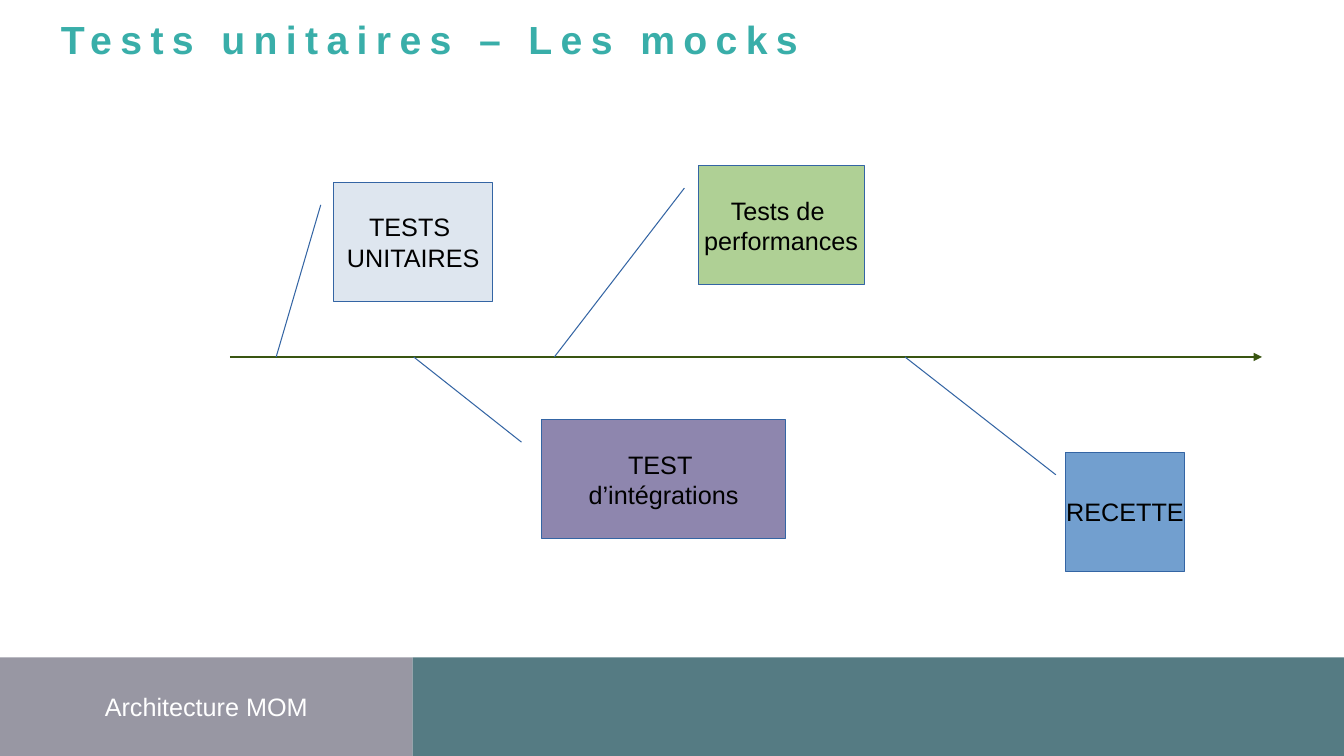
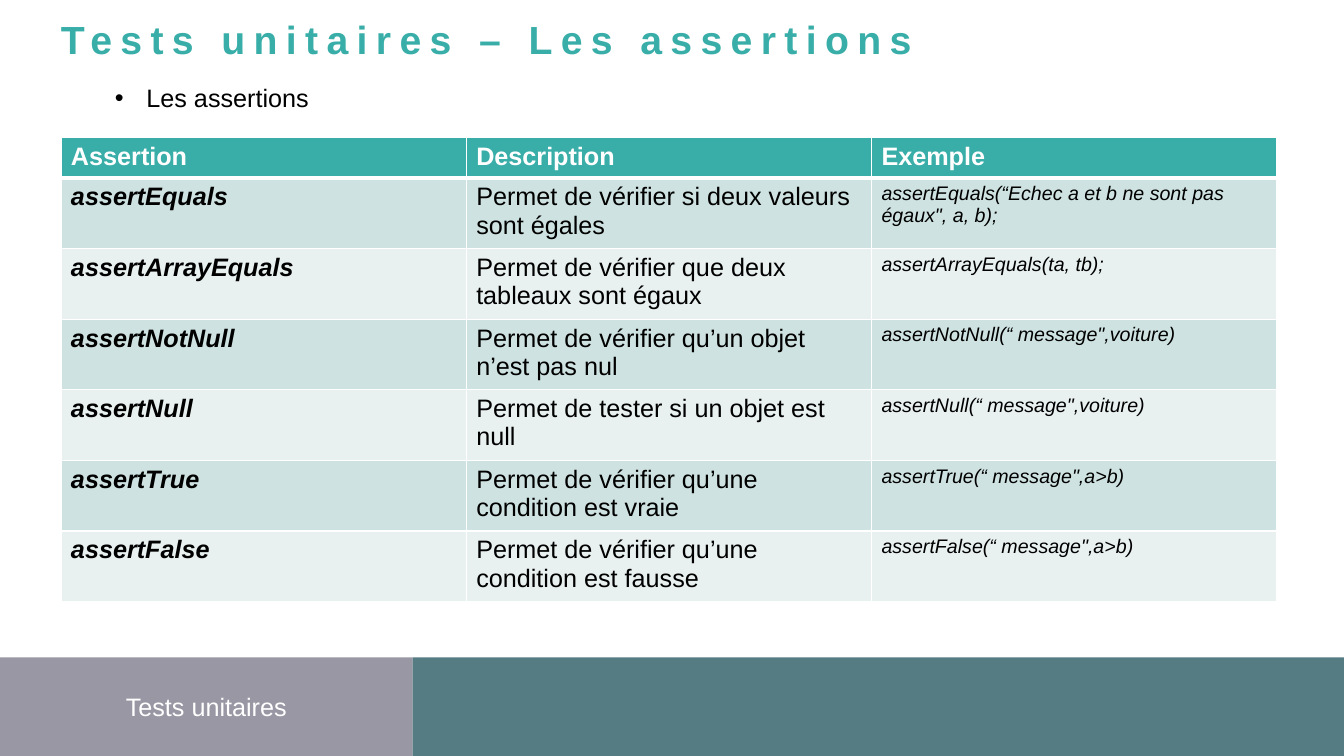
from lxml.etree import SubElement
from pptx import Presentation
from pptx.dml.color import RGBColor
from pptx.enum.shapes import MSO_CONNECTOR, MSO_SHAPE
from pptx.enum.text import PP_ALIGN
from pptx.oxml.ns import qn
from pptx.util import Emu, Pt

TEAL = "39AEA9"
DARK_TEAL = "557B83"
GREY = "9897A3"
WHITE = "FFFFFF"
BLACK = "000000"
OUTLINE = "3465A4"
TIMELINE = "395511"
BANDS = ("CEE3E1", "E8F1F0")

TIMELINE_Y = 340
CALLOUT_HEIGHT = 113
CALLOUTS = [
    (318, 174, 151, 263, "DEE6EF", ["TESTS ", "UNITAIRES"]),
    (516, 400, 232, 394, "8E86AE", ["TEST ", "d’intégrations"]),
    (665, 158, 158, 528, "AFD095", ["Tests de ", "performances"]),
    (1015, 431, 113, 862, "729FCF", ["RECETTE"]),
]
ASSERTIONS = [
    ("Assertion", "Description", "Exemple"),
    ("assertEquals", "Permet de vérifier si deux valeurs sont égales",
     'assertEquals(“Echec a et b ne sont pas égaux", a, b);'),
    ("assertArrayEquals", "Permet de vérifier que deux tableaux sont égaux",
     "assertArrayEquals(ta, tb);"),
    ("assertNotNull", "Permet de vérifier qu’un objet n’est pas nul",
     'assertNotNull(“ message",voiture)'),
    ("assertNull", "Permet de tester si un objet est null",
     'assertNull(“ message",voiture)'),
    ("assertTrue", "Permet de vérifier qu’une condition est vraie",
     'assertTrue(“ message",a>b)'),
    ("assertFalse", "Permet de vérifier qu’une condition est fausse",
     'assertFalse(“ message",a>b)'),
]


def px(length):
    """Turn pixels into EMU."""
    return Emu(length * 9525)


def color(value):
    """Turn a hex string into a colour."""
    return RGBColor.from_string(value)


class Deck:
    """Hold the shared style and the current slide."""

    font_name = "Arial"
    width, height = 1280, 720
    margin = 58
    footer_top, footer_split = 626, 393

    def __init__(self):
        """Open an empty presentation."""
        self.presentation = Presentation()
        self.presentation.slide_width = px(self.width)
        self.presentation.slide_height = px(self.height)
        self.slide = None

    def style(self, paragraph, size=18, ink=BLACK, bold=False, italic=False):
        """Set the font of a paragraph."""
        font = paragraph.font
        font.name = self.font_name
        font.size = Pt(size)
        font.bold = bold
        font.italic = italic
        font.color.rgb = color(ink)

    def add_slide(self, title, title_width, section):
        """Start a slide with its title and footer."""
        layout = self.presentation.slide_layouts[6]
        self.slide = self.presentation.slides.add_slide(layout)
        self.title(title, title_width)
        footer_height = self.height - self.footer_top
        self.box(MSO_SHAPE.RECTANGLE, 0, self.footer_top, self.footer_split,
                 footer_height, GREY, [section], WHITE)
        self.box(MSO_SHAPE.RECTANGLE, self.footer_split, self.footer_top,
                 self.width - self.footer_split, footer_height, DARK_TEAL)

    def text_box(self, left, top, width, height, text):
        """Add a wrapping text box and return its frame."""
        shape = self.slide.shapes.add_textbox(px(left), px(top), px(width), px(height))
        frame = shape.text_frame
        frame.word_wrap = True
        frame.text = text
        return frame

    def title(self, text, width):
        """Add the letter-spaced title."""
        frame = self.text_box(self.margin, 26, width, 34, text)
        frame.margin_left = frame.margin_right = 0
        frame.margin_top = frame.margin_bottom = 0
        paragraph = frame.paragraphs[0]
        paragraph.line_spacing = Pt(25)
        self.style(paragraph, 28, TEAL, bold=True)
        paragraph._p.pPr.find(qn("a:defRPr")).set("spc", "600")

    def bullet(self, left, top, width, height, text):
        """Add a one-line bulleted text."""
        paragraph = self.text_box(left, top, width, height, text).paragraphs[0]
        properties = paragraph._p.get_or_add_pPr()
        properties.set("marL", str(px(30)))
        properties.set("indent", str(px(-30)))
        SubElement(properties, qn("a:buFont"), typeface=self.font_name)
        SubElement(properties, qn("a:buChar"), char="•")
        self.style(paragraph)

    def box(self, kind, left, top, width, height, fill, lines=(), ink=BLACK):
        """Add a filled shape with centred lines of text."""
        shape = self.slide.shapes.add_shape(kind, px(left), px(top), px(width), px(height))
        shape.shadow.inherit = False
        shape.fill.solid()
        shape.fill.fore_color.rgb = color(fill)
        shape.line.fill.background()
        if lines:
            shape.text_frame.text = "\n".join(lines)
            for paragraph in shape.text_frame.paragraphs:
                paragraph.alignment = PP_ALIGN.CENTER
                self.style(paragraph, ink=ink)
        return shape

    def callout(self, left, top, width, target_x, fill, lines):
        """Add a box whose leader meets the timeline at target_x."""
        shape = self.box(MSO_SHAPE.LINE_CALLOUT_1, left, top, width,
                         CALLOUT_HEIGHT, fill, lines)
        shape.text_frame.word_wrap = False
        shape.line.color.rgb = color(OUTLINE)
        shape.line.width = Pt(0.75)
        shape.adjustments[2] = (TIMELINE_Y - top) / CALLOUT_HEIGHT
        shape.adjustments[3] = (target_x - left) / width

    def arrow(self, start_x, end_x, y):
        """Add a horizontal arrow."""
        connector = self.slide.shapes.add_connector(
            MSO_CONNECTOR.STRAIGHT, px(start_x), px(y), px(end_x), px(y))
        connector.line.color.rgb = color(TIMELINE)
        connector.line.width = Pt(1)
        SubElement(connector.line._get_or_add_ln(), qn("a:tailEnd"), type="triangle")
        SubElement(connector._element.spPr, qn("a:effectLst"))

    def cell_borders(self, cell, widths):
        """Draw the white borders of a cell, widths in points by side."""
        properties = cell._tc.get_or_add_tcPr()
        for side, width in widths.items():
            line = SubElement(properties, qn(f"a:ln{side}"), w=str(Pt(width)))
            fill = SubElement(line, qn("a:solidFill"))
            SubElement(fill, qn("a:srgbClr"), val=WHITE)

    def table(self, top, column_width, header_height, row_height, rows):
        """Add a banded table with a header row."""
        columns = len(rows[0])
        total_height = header_height + row_height * (len(rows) - 1)
        table = self.slide.shapes.add_table(
            len(rows), columns, px(self.margin), px(top),
            px(column_width * columns), px(total_height)).table
        for column in table.columns:
            column.width = px(column_width)
        column_styles = [{"bold": True, "italic": True}, {}, {"size": 14, "italic": True}]
        for row_index, texts in enumerate(rows):
            header = row_index == 0
            table.rows[row_index].height = px(header_height if header else row_height)
            fill = TEAL if header else BANDS[(row_index - 1) % 2]
            widths = {"L": 1, "R": 1, "T": 3 if row_index == 1 else 1, "B": 3 if header else 1}
            for column_index, text in enumerate(texts):
                cell = table.cell(row_index, column_index)
                cell.text = text
                self.cell_borders(cell, widths)
                cell.fill.solid()
                cell.fill.fore_color.rgb = color(fill)
                style = {"ink": WHITE, "bold": True} if header else column_styles[column_index]
                self.style(cell.text_frame.paragraphs[0], **style)


def main():
    """Build both slides and save them."""
    deck = Deck()
    deck.add_slide("Tests unitaires – Les mocks", 750, "Architecture MOM")
    deck.arrow(219, 1202, TIMELINE_Y)
    for callout in CALLOUTS:
        deck.callout(*callout)

    deck.add_slide("Tests unitaires – Les assertions", 902, "Tests unitaires")
    deck.bullet(100, 74, 628, 38, "Les assertions")
    deck.table(131, 386, 38, 67, ASSERTIONS)
    deck.presentation.save("out.pptx")


if __name__ == "__main__":
    main()
